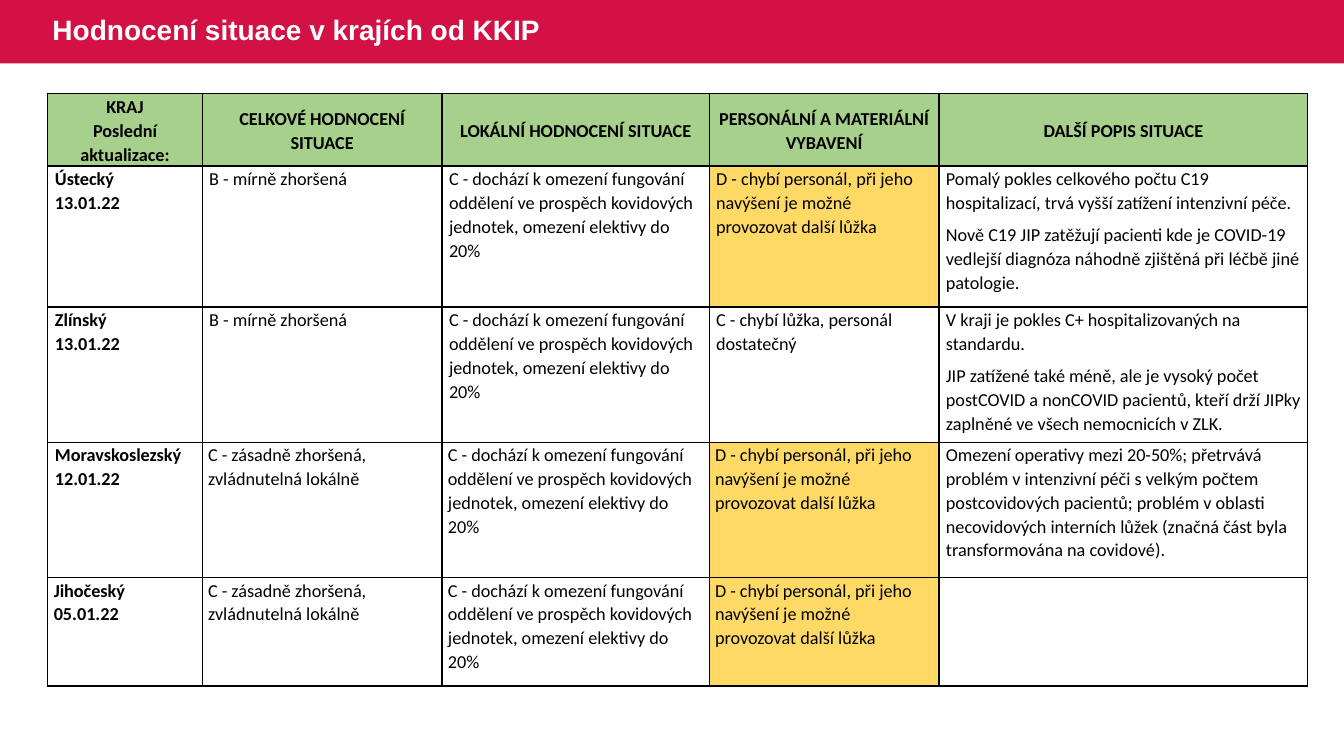
"""Build the slide with the regional assessment table."""
from dataclasses import dataclass

from lxml import etree
from pptx import Presentation
from pptx import util as u
from pptx.dml.color import RGBColor
from pptx.enum import shapes, text
from pptx.oxml.ns import qn

COLORS = {
    "band": "D31145",
    "header": "A8D08D",
    "warning": "FFD966",
    "white": "FFFFFF",
    "black": "000000",
}
WIDE, NARROW = 5.04, 4.25
COLUMN_WIDTHS = (110.16, 171.36, 190.8, 164.16, 263.52)
ROW_HEIGHTS = (48.24, 100.8, 96.48, 96.48, 77.76)

MILD = "B - mírně zhoršená"
SERIOUS = "C - zásadně zhoršená, zvládnutelná lokálně"
LOCAL = (
    "C - dochází k omezení fungování oddělení ve prospěch kovidových "
    "jednotek, omezení elektivy do 20%"
)
STAFF_MISSING = "D - chybí personál, při jeho navýšení je možné provozovat další lůžka"
BEDS_MISSING = "C - chybí lůžka, personál dostatečný"
HEADERS = (
    ("KRAJ", "Poslední aktualizace:"),
    ("CELKOVÉ HODNOCENÍ SITUACE",),
    ("LOKÁLNÍ HODNOCENÍ SITUACE",),
    ("PERSONÁLNÍ A MATERIÁLNÍ VYBAVENÍ",),
    ("DALŠÍ POPIS SITUACE",),
)


@dataclass(frozen=True)
class Region:
    name: str
    updated: str
    overall: str
    resources: str
    description: tuple[str, ...] = ()
    name_margin: float = WIDE
    rating_margin: float = WIDE


@dataclass(frozen=True)
class CellContent:
    paragraphs: tuple[str, ...]
    fill: str | None = None
    bold: bool = False
    header: bool = False
    margin: float = WIDE
    gap: float = 0


REGIONS = (
    Region("Ústecký", "13.01.22", MILD, STAFF_MISSING, (
        "Pomalý pokles celkového počtu C19 hospitalizací, trvá vyšší zatížení "
        "intenzivní péče.",
        "Nově C19 JIP zatěžují pacienti kde je COVID-19 vedlejší diagnóza "
        "náhodně zjištěná při léčbě jiné patologie.",
    )),
    Region("Zlínský", "13.01.22", MILD, BEDS_MISSING, (
        "V kraji je pokles C+ hospitalizovaných na standardu.",
        "JIP zatížené také méně, ale je vysoký počet postCOVID a nonCOVID "
        "pacientů, kteří drží JIPky zaplněné ve všech nemocnicích v ZLK.",
    )),
    Region("Moravskoslezský", "12.01.22", SERIOUS, STAFF_MISSING, (
        "Omezení operativy mezi 20-50%; přetrvává problém v intenzivní péči "
        "s velkým počtem postcovidových pacientů; problém v oblasti necovidových "
        "interních lůžek (značná část byla transformována na covidové).",
    ), rating_margin=NARROW),
    Region("Jihočeský", "05.01.22", SERIOUS, STAFF_MISSING,
           name_margin=NARROW, rating_margin=NARROW),
)


def color(name: str) -> RGBColor:
    """Return a palette colour."""
    return RGBColor.from_string(COLORS[name])


def region_cells(region: Region) -> list[CellContent]:
    """Return the five cells of a region's row."""
    resources_fill = "warning" if region.resources == STAFF_MISSING else "white"
    ratings = (
        (region.overall, "white"),
        (LOCAL, "white"),
        (region.resources, resources_fill),
    )
    return [
        CellContent((region.name, region.updated), bold=True, margin=region.name_margin),
        *(CellContent((rating,), fill, margin=region.rating_margin)
          for rating, fill in ratings),
        CellContent(region.description, gap=6),
    ]


def add_borders(cell) -> None:
    """Draw a thin black line on each side of a cell."""
    properties = cell._tc.get_or_add_tcPr()
    for side in ("lnL", "lnR", "lnT", "lnB"):
        line = etree.SubElement(properties, qn(f"a:{side}"), w=str(u.Pt(1)))
        fill = etree.SubElement(line, qn("a:solidFill"))
        etree.SubElement(fill, qn("a:srgbClr"), val=COLORS["black"])


def fill_cell(cell, content: CellContent) -> None:
    """Write and format one table cell."""
    add_borders(cell)
    if content.fill:
        cell.fill.solid()
        cell.fill.fore_color.rgb = color(content.fill)
    else:
        cell.fill.background()
    cell.margin_left = cell.margin_right = u.Pt(content.margin)
    cell.margin_top, cell.margin_bottom = u.Pt(0.72), u.Pt(0)
    cell.vertical_anchor = (
        text.MSO_ANCHOR.MIDDLE if content.header else text.MSO_ANCHOR.TOP
    )
    cell.text = "\n".join(content.paragraphs)
    for index, paragraph in enumerate(cell.text_frame.paragraphs):
        paragraph.alignment = (
            text.PP_ALIGN.CENTER if content.header else text.PP_ALIGN.LEFT
        )
        paragraph.line_spacing = 1.07
        paragraph.space_before = u.Pt(content.gap if index else 0)
        paragraph.font.name = "Calibri"
        paragraph.font.size = u.Pt(13)
        paragraph.font.bold = content.bold
        paragraph.font.color.rgb = color("black")


def add_title(slide, width: int) -> None:
    """Place the title on its coloured band."""
    height = u.Pt(45.36)
    band = slide.shapes.add_shape(shapes.MSO_SHAPE.RECTANGLE, 0, 0, width, height)
    band.shadow.inherit = False
    band.fill.solid()
    band.fill.fore_color.rgb = color("band")
    band.line.fill.background()

    title = slide.shapes.title
    title.element.addprevious(band.element)
    title.left, title.top, title.width, title.height = u.Pt(30.24), 0, u.Pt(424.8), height
    frame = title.text_frame
    frame.text = "Hodnocení situace v krajích od KKIP"
    frame.word_wrap = True
    frame.auto_size = text.MSO_AUTO_SIZE.NONE
    frame.vertical_anchor = text.MSO_ANCHOR.MIDDLE
    paragraph = frame.paragraphs[0]
    paragraph.alignment = text.PP_ALIGN.LEFT
    paragraph.line_spacing = 0.9
    paragraph.font.name = "Arial"
    paragraph.font.size = u.Pt(20)
    paragraph.font.bold = True
    paragraph.font.color.rgb = color("white")


def add_region_table(slide) -> None:
    """Add the table of regions."""
    rows = [
        [CellContent(header, "header", bold=True, header=True) for header in HEADERS],
        *(region_cells(region) for region in REGIONS),
    ]
    table = slide.shapes.add_table(
        len(rows), len(HEADERS), u.Pt(34.2), u.Pt(66.96),
        u.Pt(sum(COLUMN_WIDTHS)), u.Pt(sum(ROW_HEIGHTS)),
    ).table
    table.first_row = table.horz_banding = False
    for column, width in zip(table.columns, COLUMN_WIDTHS):
        column.width = u.Pt(width)
    for row, height, contents in zip(table.rows, ROW_HEIGHTS, rows):
        row.height = u.Pt(height)
        for cell, content in zip(row.cells, contents):
            fill_cell(cell, content)


def main() -> None:
    """Create and save the presentation."""
    presentation = Presentation()
    presentation.slide_width, presentation.slide_height = u.Pt(960), u.Pt(540)
    slide = presentation.slides.add_slide(presentation.slide_layouts[5])
    add_title(slide, presentation.slide_width)
    add_region_table(slide)
    presentation.save("out.pptx")


if __name__ == "__main__":
    main()
